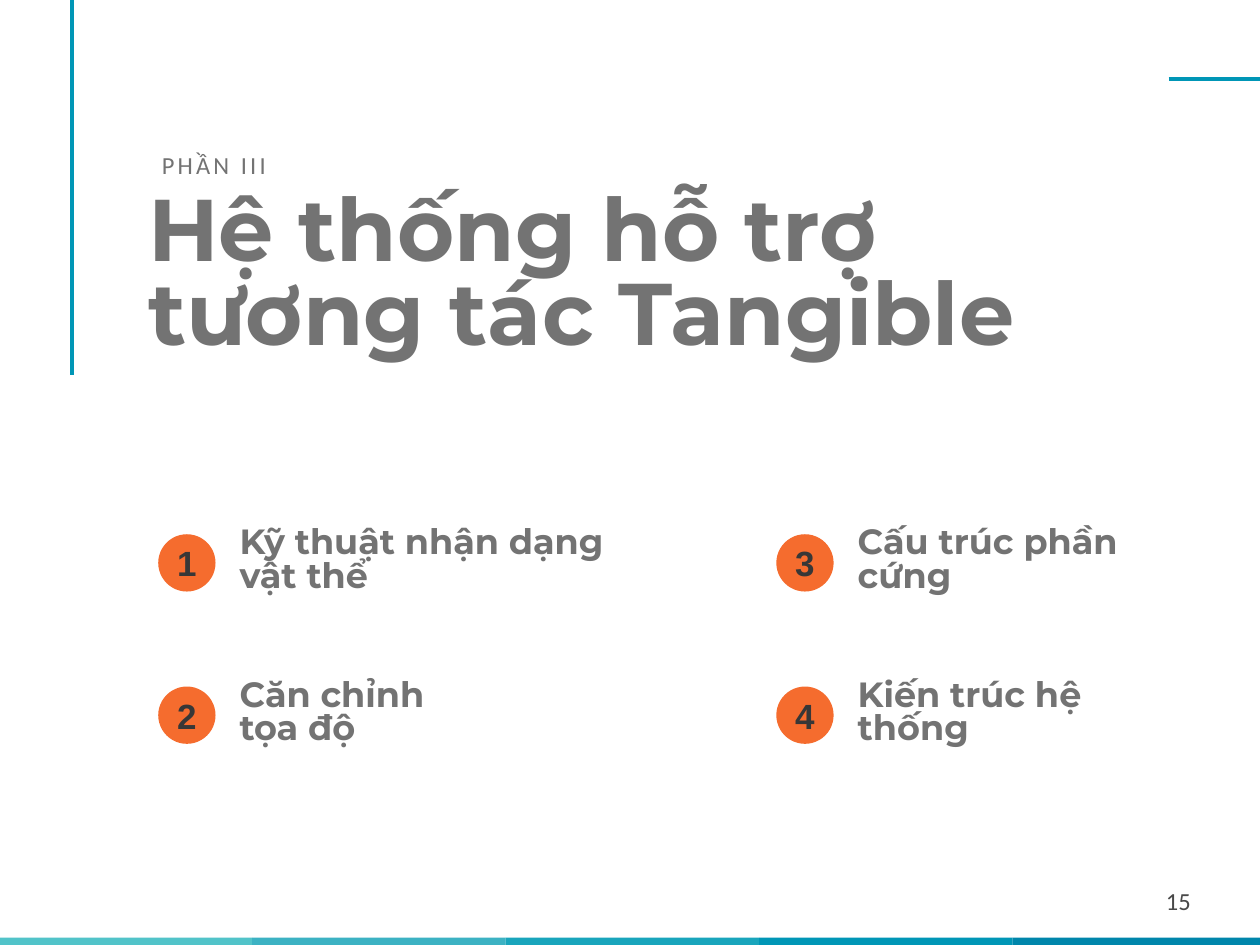
from lxml.etree import SubElement
from pptx import Presentation
from pptx.dml.color import RGBColor
from pptx.enum.shapes import MSO_CONNECTOR, MSO_SHAPE
from pptx.enum.text import MSO_ANCHOR, PP_ALIGN
from pptx.oxml.ns import qn
from pptx.util import Cm, Pt

# Content; all lengths in centimetres
SLIDE_WIDTH, SLIDE_HEIGHT = 50.8, 38.1
SECTION = "PHẦN III"
TITLE = "Hệ thống hỗ trợ tương tác Tangible"
PAGE_NUMBER = "15"
TOPICS = [  # text, width; listed down each column in turn
    ("Kỹ thuật nhận dạng vật thể", 16.15),
    ("Căn chỉnh tọa độ", 10.16),
    ("Cấu trúc phần cứng", 11.73),
    ("Kiến trúc hệ thống", 11.1),
]
FOOTER_COLORS = ["51C3C9", "3CB2C3", "19A5BC", "0096B6", "0086AB"]
RULES = [(2.9, 0, 2.9, 15.11), (47.12, 3.18, SLIDE_WIDTH, 3.18)]

TEAL, ORANGE, GRAY, DARK, INK = "0096B6", "F56C2E", "737373", "494949", "373737"

FOOTER_LEFT, FOOTER_TOP, FOOTER_STEP = -0.05, 37.8, 10.22
TOPIC_LEFT, TOPIC_TOP = 6.38, 21.54
COLUMN_STEP, ROW_STEP, ROWS = 24.92, 6.14, 2
BADGE_SIZE, LABEL_OFFSET, LABEL_HEIGHT = 2.31, 3.18, 1.63
INSET = 0.1


def color(hex_value):
    return RGBColor.from_string(hex_value)


def write(shape, text, size, font_name, hex_value, bold=False, align=PP_ALIGN.LEFT,
          anchor=MSO_ANCHOR.MIDDLE, line_spacing=None, inset=INSET):
    frame = shape.text_frame
    frame.word_wrap = True
    frame.vertical_anchor = anchor
    frame.margin_left = frame.margin_right = Cm(inset)
    frame.margin_top = frame.margin_bottom = Cm(inset)
    paragraph = frame.paragraphs[0]
    paragraph.text = text
    paragraph.alignment = align
    paragraph.line_spacing = line_spacing
    font = paragraph.font
    font.name, font.size, font.bold = font_name, Pt(size), bold
    font.color.rgb = color(hex_value)
    return paragraph


def add_text(slide, left, top, width, height, *text_style, **options):
    box = slide.shapes.add_textbox(Cm(left), Cm(top), Cm(width), Cm(height))
    return write(box, *text_style, **options)


def add_filled(slide, kind, left, top, width, height, hex_value):
    shape = slide.shapes.add_shape(kind, Cm(left), Cm(top), Cm(width), Cm(height))
    shape.shadow.inherit = False
    shape.fill.solid()
    shape.fill.fore_color.rgb = color(hex_value)
    shape.line.fill.background()
    return shape


def add_rule(slide, ends):
    rule = slide.shapes.add_connector(MSO_CONNECTOR.STRAIGHT, *map(Cm, ends))
    rule.line.color.rgb = color(TEAL)
    rule.line.width = Pt(4)
    SubElement(rule._element.spPr, qn("a:effectLst"))


def add_topic(slide, index, text, width):
    column, row = divmod(index, ROWS)
    left = TOPIC_LEFT + column * COLUMN_STEP
    top = TOPIC_TOP + row * ROW_STEP
    badge = add_filled(slide, MSO_SHAPE.OVAL, left, top, BADGE_SIZE, BADGE_SIZE, ORANGE)
    write(badge, str(index + 1), 40, "Arial", INK, bold=True, align=PP_ALIGN.CENTER)
    label_top = top + (BADGE_SIZE - LABEL_HEIGHT) / 2 - 0.05
    add_text(slide, left + LABEL_OFFSET, label_top, width, LABEL_HEIGHT,
             text, 40, "Montserrat", GRAY, bold=True, line_spacing=0.8)


def main():
    presentation = Presentation()
    presentation.slide_width, presentation.slide_height = Cm(SLIDE_WIDTH), Cm(SLIDE_HEIGHT)
    slide = presentation.slides.add_slide(presentation.slide_layouts[6])

    for index, band_color in enumerate(FOOTER_COLORS):
        add_filled(slide, MSO_SHAPE.RECTANGLE, FOOTER_LEFT + index * FOOTER_STEP, FOOTER_TOP,
                   FOOTER_STEP, SLIDE_HEIGHT - FOOTER_TOP, band_color)
    add_text(slide, 36.83, 35.28, 11.43, 2.03, PAGE_NUMBER, 28, "Calibri", DARK,
             align=PP_ALIGN.RIGHT, inset=0.25)
    for ends in RULES:
        add_rule(slide, ends)

    section = add_text(slide, 6.43, 5.92, 10.77, 1.42, SECTION, 28, "Calibri", GRAY)
    section.runs[0].font._element.set("spc", "360")
    add_text(slide, 5.87, 7.75, 35.36, 8.81, TITLE, 100, "Montserrat", GRAY, bold=True,
             anchor=MSO_ANCHOR.TOP, line_spacing=0.8)
    for index, (text, width) in enumerate(TOPICS):
        add_topic(slide, index, text, width)

    presentation.save("out.pptx")


if __name__ == "__main__":
    main()
